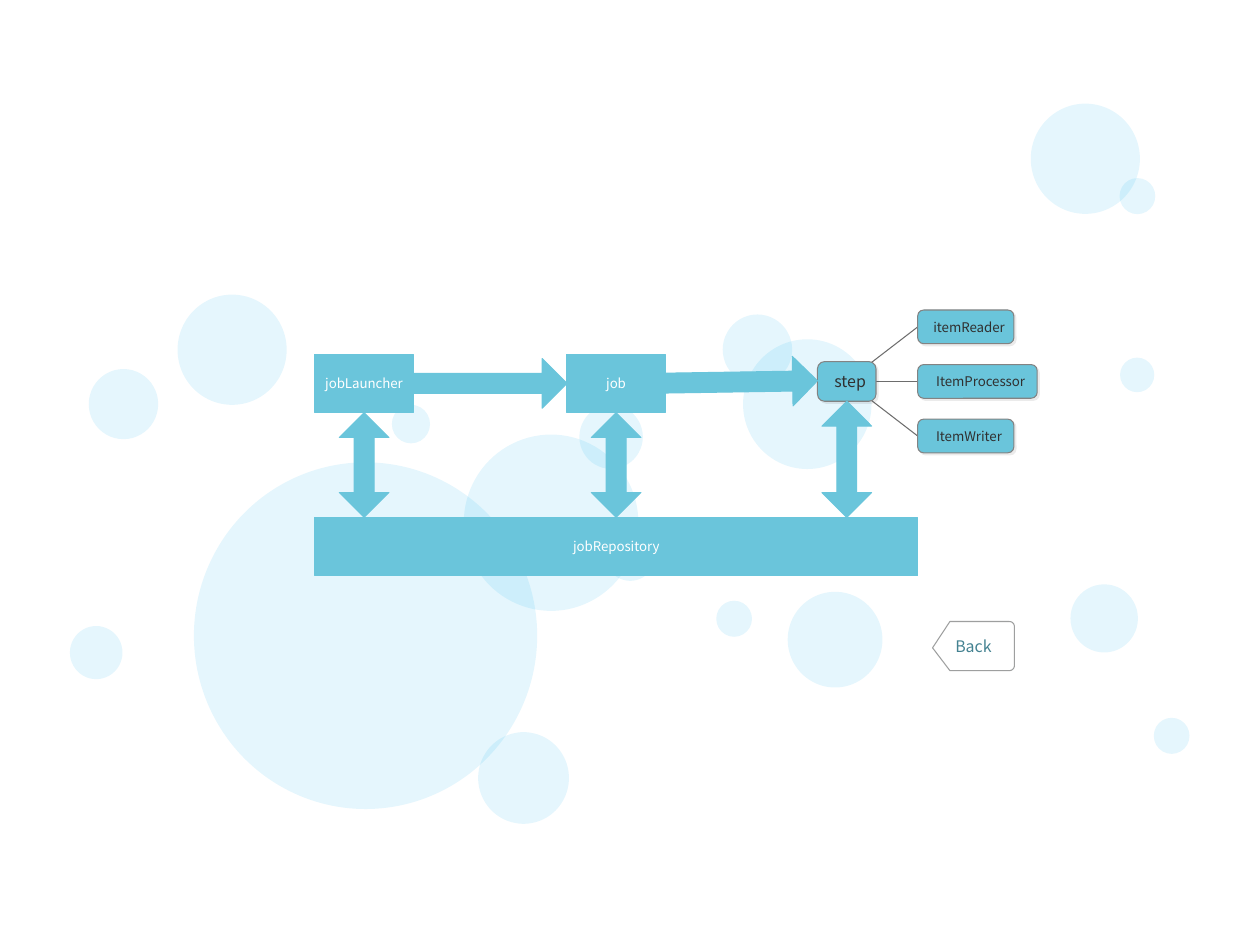
from math import cos, radians, sin

from lxml import etree
from pptx import Presentation
from pptx.dml.color import RGBColor
from pptx.enum.shapes import MSO_CONNECTOR, MSO_SHAPE
from pptx.enum.text import MSO_ANCHOR, PP_ALIGN
from pptx.oxml.ns import qn
from pptx.util import Cm, Pt

OVAL = MSO_SHAPE.OVAL
RECTANGLE = MSO_SHAPE.RECTANGLE
ROUNDED = MSO_SHAPE.ROUNDED_RECTANGLE
RIGHT_ARROW = MSO_SHAPE.RIGHT_ARROW
LEFT_RIGHT_ARROW = MSO_SHAPE.LEFT_RIGHT_ARROW
STRAIGHT = MSO_CONNECTOR.STRAIGHT
MIDDLE = MSO_ANCHOR.MIDDLE
CENTER = PP_ALIGN.CENTER

FONT = "Noto Sans CJK SC"
COLORS = {"bubble": "00AEEE", "teal": "6AC5DB", "border": "838383",
          "branch": "6D6D6D", "dark": "303030", "white": "FFFFFF",
          "back_line": "9E9F9F", "back_text": "448291", "shadow": "000000"}
LINE_WIDTH = Pt(0.6)
ARROW_WIDTH = 1.0
# left, top, diameter in cm
BUBBLES = [
    (3.58, 5.94, 2.2), (3.91, 9.32, 6.92), (9.35, 8.76, 3.52),
    (14.98, 6.84, 2.59), (15.88, 11.93, 1.91), (21.58, 11.78, 1.36),
    (22.58, 7.21, 0.69), (14.44, 12.11, 0.72), (1.79, 7.44, 1.4),
    (1.41, 12.62, 1.06), (7.9, 8.16, 0.77), (11.68, 8.16, 1.28),
    (12.2, 10.69, 1.01), (9.64, 14.76, 1.83), (20.78, 2.09, 2.2),
    (22.57, 3.59, 0.72), (14.57, 6.34, 1.4), (23.26, 14.47, 0.72)]


def rgb(name):
    """Return the named colour."""
    return RGBColor.from_string(COLORS[name])


def paint(shape, fill, line=None):
    """Set the fill and outline and remove the theme shadow."""
    shape.shadow.inherit = False
    shape.fill.solid()
    shape.fill.fore_color.rgb = rgb(fill)
    if line:
        shape.line.color.rgb = rgb(line)
        shape.line.width = LINE_WIDTH
    else:
        shape.line.fill.background()
    return shape


def add_block(slide, kind, box, fill="teal", line="teal"):
    """Add a painted preset shape in a (left, top, width, height) box in cm."""
    return paint(slide.shapes.add_shape(kind, *map(Cm, box)), fill, line)


def write(shape, text, size=7.6, color="white", inset=0.1):
    """Write one centred line in a shape; the side inset is in cm."""
    frame = shape.text_frame
    frame.word_wrap = True
    frame.vertical_anchor = MIDDLE
    frame.margin_left = frame.margin_right = Cm(inset)
    frame.margin_top = frame.margin_bottom = 0
    paragraph = frame.paragraphs[0]
    paragraph.alignment = CENTER
    run = paragraph.add_run()
    run.text = text
    run.font.size = Pt(size)
    run.font.name = FONT
    run.font.color.rgb = rgb(color)
    etree.SubElement(run.font._element, qn("a:ea")).set("typeface", FONT)


def add_label(slide, box, text, **text_format):
    """Add a text box in a box in cm."""
    write(slide.shapes.add_textbox(*map(Cm, box)), text, **text_format)


def add_alpha(color_element, percent):
    """Set the opacity of a colour element."""
    etree.SubElement(color_element, qn("a:alpha")).set("val", str(percent * 1000))


def add_bubbles(slide, box):
    """Scatter the pale circles from the corner of the box."""
    for left, top, size in BUBBLES:
        bubble = add_block(slide, OVAL, (box[0] + left, box[1] + top, size, size * 1.01),
                           "bubble", None)
        add_alpha(next(bubble._element.spPr.iter(qn("a:srgbClr"))), 10)


def add_bar(slide, box, text):
    """Add a flat bar with a white label."""
    left, top, width, height = box
    add_block(slide, RECTANGLE, box)
    add_label(slide, (left, top + 0.15, width, height - 0.3), text)


def add_card(slide, box, text, indent, right=0, **text_format):
    """Add a rounded card with a small drop shadow and an indented label."""
    left, top, width, height = box
    card = add_block(slide, ROUNDED, box, line="border")
    card.adjustments[0] = 0.18
    effects = card._element.spPr.find(qn("a:effectLst"))
    drop = etree.SubElement(effects, qn("a:outerShdw"), blurRad="0",
                            dist=str(Pt(1.7)), dir="2700000", algn="tl", rotWithShape="0")
    add_alpha(etree.SubElement(drop, qn("a:srgbClr"), val=COLORS["shadow"]), 8)
    add_label(slide, (left + indent, top + 0.12, width - indent - right, height - 0.24),
              text, color="dark", **text_format)


def add_branch(slide, start, end):
    """Draw a thin line between two points in cm."""
    branch = slide.shapes.add_connector(STRAIGHT, *map(Cm, start + end))
    branch.line.color.rgb = rgb("branch")
    branch.line.width = LINE_WIDTH
    etree.SubElement(branch._element.spPr, qn("a:effectLst"))


def add_arrow(slide, kind, center, length, rotation=0):
    """Add a block arrow around its center, with the shared proportions."""
    x, y = center
    arrow = add_block(slide, kind, (x - length / 2, y - ARROW_WIDTH / 2, length, ARROW_WIDTH))
    arrow.adjustments[0], arrow.adjustments[1] = 0.4, 0.5
    arrow.rotation = rotation


def add_step(slide, box):
    """Add the step card with its three branches, relative to the card box."""
    left, top, width, height = box
    center = (left + width / 2, top + height / 2)
    item_left, item_height, pitch = left + width + 0.84, 0.68, 1.1
    items = [("itemReader", 1.94), ("ItemProcessor", 2.41), ("ItemWriter", 1.94)]
    middles = [center[1] + pitch * (row - 1) for row in range(len(items))]
    for middle in middles:
        add_branch(slide, center, (item_left, middle))
    add_card(slide, box, "step", 0.18, right=0.04, size=9.1)
    for (item, item_width), middle in zip(items, middles):
        add_card(slide, (item_left, middle - item_height / 2, item_width, item_height),
                 item, 0.13)


def add_job_flow(slide, box):
    """Draw launcher, job and step above the repository bar that fills the box width."""
    left, top, width, height = box
    job_width, job_height, job_pitch = 1.98, 1.18, 5.08
    bar_top = top + height - job_height
    job_bottom = top + job_height
    job_left = left + job_pitch
    step = (left + 10.13, top + 0.15, 1.18, 0.8)
    bars = [("jobRepository", left, bar_top, width),
            ("jobLauncher", left, top, job_width),
            ("job", job_left, top, job_width)]
    for text, x, y, bar_width in bars:
        add_bar(slide, (x, y, bar_width, job_height), text)
    add_step(slide, step)

    links = [(left + job_width / 2, job_bottom), (job_left + job_width / 2, job_bottom),
             (step[0] + step[2] / 2, step[1] + step[3])]
    for x, y in links:
        add_arrow(slide, LEFT_RIGHT_ARROW, (x, (y + bar_top) / 2), bar_top - y, 90)
    for start, end, y, rotation in [(left, job_left, top + 0.59, 0),
                                    (job_left, step[0], top + 0.56, -0.9)]:
        arrow_left = start + job_width
        add_arrow(slide, RIGHT_ARROW, ((arrow_left + end) / 2, y), end - arrow_left, rotation)


def add_back_button(slide, box):
    """Add the pointed button with two rounded corners."""
    left, top, width, height = box
    right, bottom, shoulder, radius = left + width, top + height, left + 0.35, 0.1
    corners = [(right - radius, top + radius, -90), (right - radius, bottom - radius, 0)]
    points = [(x + radius * cos(radians(start + turn)), y + radius * sin(radians(start + turn)))
              for x, y, start in corners for turn in range(0, 91, 15)]
    points += [(shoulder, bottom), (left, top + 0.53)]
    outline = slide.shapes.build_freeform(Cm(shoulder), Cm(top))
    outline.add_line_segments([(Cm(x), Cm(y)) for x, y in points], close=True)
    button = paint(outline.convert_to_shape(), "white", "back_line")
    write(button, "Back", size=9.1, color="back_text", inset=0)


def main():
    """Build and save the slide."""
    deck = Presentation()
    deck.slide_width, deck.slide_height = Cm(25.4), Cm(19.05)
    slide = deck.slides.add_slide(deck.slide_layouts[6])
    add_bubbles(slide, (0, 0, 25.4, 19.05))
    add_job_flow(slide, (6.35, 7.14, 12.15, 4.47))
    add_back_button(slide, (18.8, 12.53, 1.65, 0.99))
    deck.save("out.pptx")


main()
